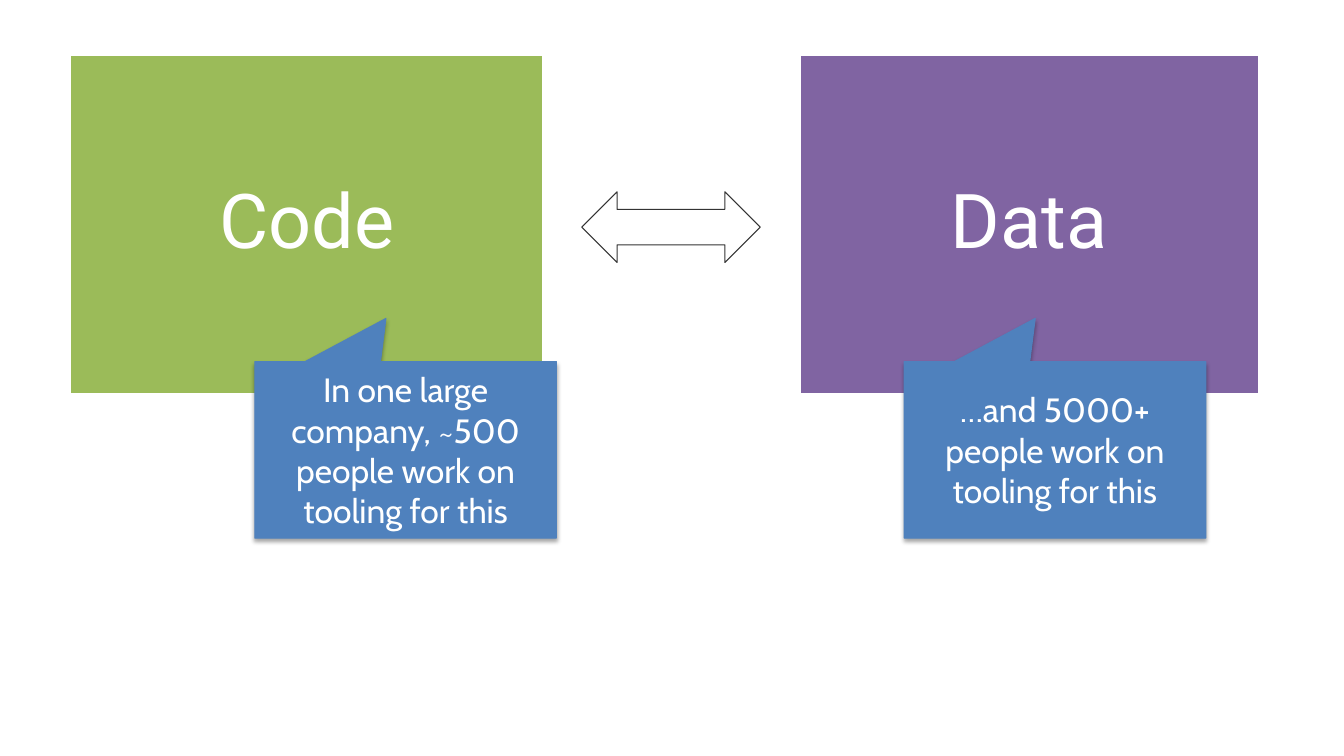
from dataclasses import dataclass
from lxml.etree import SubElement
from pptx import Presentation
from pptx.dml.color import RGBColor
from pptx.enum.shapes import MSO_SHAPE
from pptx.enum.text import MSO_ANCHOR, PP_ALIGN
from pptx.oxml.ns import qn
from pptx.util import Pt


@dataclass(frozen=True)
class Theme:
    green: RGBColor = RGBColor(0x9B, 0xBB, 0x59)
    purple: RGBColor = RGBColor(0x80, 0x64, 0xA2)
    blue: RGBColor = RGBColor(0x4F, 0x81, 0xBD)
    dark: RGBColor = RGBColor(0x33, 0x33, 0x33)
    white: RGBColor = RGBColor(0xFF, 0xFF, 0xFF)
    panel_font: str = "Roboto"
    panel_size: int = 54
    callout_font: str = "Cabin"
    callout_size: int = 24


theme = Theme()


def add_block(kind, left, top, width, height, fill, line, line_width):
    block = page.shapes.add_shape(kind, Pt(left), Pt(top), Pt(width), Pt(height))
    block.shadow.inherit = False
    if fill is None:
        block.fill.background()
    else:
        block.fill.solid()
        block.fill.fore_color.rgb = fill
    block.line.color.rgb = line
    block.line.width = Pt(line_width)
    return block


def write_text(block, text, font, size, inset_x, inset_y, spacing):
    frame = block.text_frame
    frame.word_wrap = True
    frame.vertical_anchor = MSO_ANCHOR.MIDDLE
    frame.margin_left = frame.margin_right = Pt(inset_x)
    frame.margin_top = frame.margin_bottom = Pt(inset_y)
    para = frame.paragraphs[0]
    para.alignment = PP_ALIGN.CENTER
    para.line_spacing = spacing
    span = para.add_run()
    span.text = text
    span.font.name = font
    span.font.size = Pt(size)
    span.font.color.rgb = theme.white


deck = Presentation()
deck.slide_width, deck.slide_height = Pt(960), Pt(540)
page = deck.slides.add_slide(deck.slide_layouts[6])

for text, left, width, color in (
    ("Code", 50, 338.4, theme.green),
    ("Data", 571, 328.3, theme.purple),
):
    panel = add_block(MSO_SHAPE.RECTANGLE, left, 39, width, 242.6, color, theme.white, 2)
    write_text(panel, text, theme.panel_font, theme.panel_size, 19.2, 19.2, 0.9)

add_block(MSO_SHAPE.LEFT_RIGHT_ARROW, 415.5, 137, 127.5, 50.5, None, theme.dark, 0.75)

for text, left in (
    ("In one large company, ~500 people work on tooling for this", 182),
    ("…and 5000+ people work on tooling for this", 645.8),
):
    callout = add_block(
        MSO_SHAPE.RECTANGULAR_CALLOUT, left, 258.3, 215.5, 126, theme.blue, theme.blue, 0.75
    )
    callout.adjustments[0] = -0.065
    callout.adjustments[1] = -0.745
    effects = callout.element.spPr.find(qn("a:effectLst"))
    shadow = SubElement(
        effects, qn("a:outerShdw"), blurRad=str(Pt(3.1)), dist=str(Pt(1.8)),
        dir="5400000", rotWithShape="0",
    )
    shade = SubElement(shadow, qn("a:srgbClr"), val="000000")
    SubElement(shade, qn("a:alpha"), val="35000")
    write_text(callout, text, theme.callout_font, theme.callout_size, 7.2, 3.6, 1.0)

deck.save("out.pptx")
